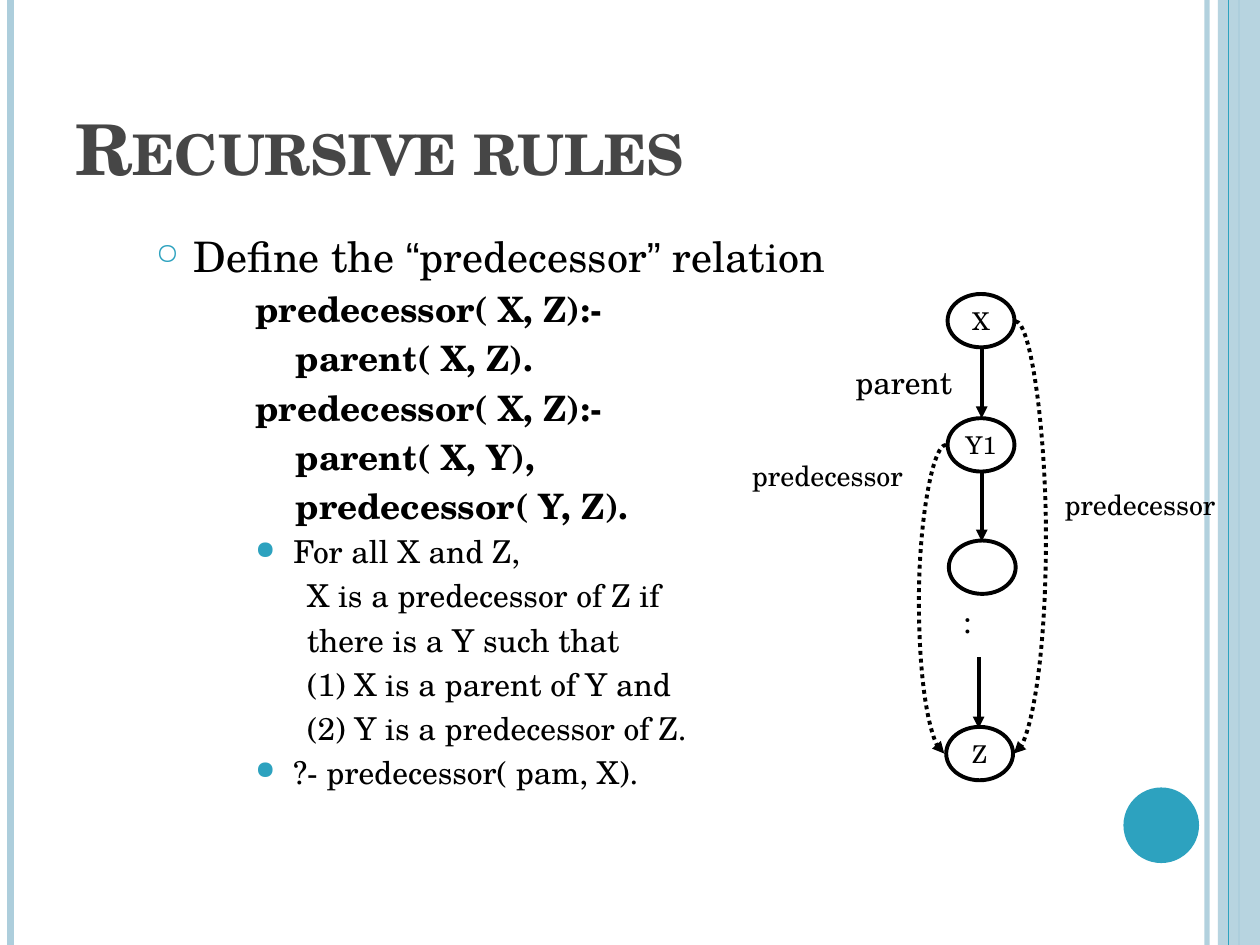
import pptx
import pptx.util
import pptx.dml.color
import pptx.enum.dml
import pptx.enum.shapes
import pptx.enum.text
import pptx.oxml.ns
import lxml.etree
import dataclasses

Pt = pptx.util.Pt
Kind = pptx.enum.shapes.MSO_CONNECTOR
Form = pptx.enum.shapes.MSO_SHAPE
Align = pptx.enum.text.PP_ALIGN
Anchor = pptx.enum.text.MSO_ANCHOR
qn = pptx.oxml.ns.qn


@dataclasses.dataclass(frozen=True)
class Theme:
    font: str = "TeX Gyre Schola"
    quote: str = "Arial"
    black: str = "000000"
    white: str = "FFFFFF"
    grey: str = "464646"
    pale: str = "ADCEDC"
    teal: str = "2DA2BF"
    title: int = 40
    lead: int = 24
    code: int = 20
    prose: int = 18
    label: int = 16
    node: int = 14
    stroke: float = 2.25


def color(text):
    return pptx.dml.color.RGBColor.from_string(text)


def child(parent, tag, **attrs):
    node = lxml.etree.SubElement(parent, qn(tag))
    for key, value in attrs.items():
        node.set(key, str(value))
    return node


class Sketch:
    """Draws styled elements on the current slide, in points."""

    def __init__(self, slide, theme):
        self.slide = slide
        self.theme = theme

    def fade(self, shape, alpha):
        tint = next(shape._element.iter(qn("a:srgbClr")))
        child(tint, "a:alpha", val=alpha * 1000)

    def run(self, para, text, size, bold=False, tone=None, face=None):
        run = para.add_run()
        run.text = text
        run.font.size = Pt(size)
        run.font.bold = bold
        run.font.name = face or self.theme.font
        run.font.color.rgb = color(tone or self.theme.black)
        return run

    def box(self, x, y, w, h, wrap=True, anchor=Anchor.TOP):
        frame = self.slide.shapes.add_textbox(Pt(x), Pt(y), Pt(w), Pt(h)).text_frame
        frame.word_wrap = wrap
        frame.vertical_anchor = anchor
        return frame

    def label(self, text, x, y, w, h, size, wrap=False, align=Align.LEFT):
        para = self.box(x, y, w, h, wrap).paragraphs[0]
        para.alignment = align
        self.run(para, text, size)

    def indent(self, para, left, hang, mark=None, scale=100):
        props = para._p.get_or_add_pPr()
        props.set("marL", str(Pt(left)))
        props.set("indent", str(Pt(-hang)))
        if mark:
            child(child(props, "a:buClr"), "a:srgbClr", val=self.theme.teal)
            child(props, "a:buSzPct", val=scale * 1000)
            child(props, "a:buChar", char=mark)
        else:
            child(props, "a:buNone")

    def line(self, start, end, tone=None, width=None, arrow=False, bend=None, alpha=None):
        kind = Kind.STRAIGHT if bend is None else Kind.CURVE
        link = self.slide.shapes.add_connector(kind, *map(Pt, start + end))
        link.line.color.rgb = color(tone or self.theme.black)
        link.line.width = Pt(width or self.theme.stroke)
        props = link._element.spPr
        if bend is not None:
            link.line.dash_style = pptx.enum.dml.MSO_LINE.ROUND_DOT
            ratio = (bend - start[0]) / (end[0] - start[0])
            guides = next(props.iter(qn("a:avLst")))
            child(guides, "a:gd", name="adj1", fmla=f"val {round(ratio * 100000)}")
        if arrow:
            child(props.find(qn("a:ln")), "a:tailEnd", type="triangle")
        child(props, "a:effectLst")
        if alpha:
            self.fade(link, alpha)

    def shape(self, form, x, y, w, h, fill, edge=None, alpha=None):
        shape = self.slide.shapes.add_shape(form, Pt(x), Pt(y), Pt(w), Pt(h))
        shape.shadow.inherit = False
        shape.fill.solid()
        shape.fill.fore_color.rgb = color(fill)
        if edge:
            shape.line.color.rgb = color(edge)
            shape.line.width = Pt(self.theme.stroke)
        else:
            shape.line.fill.background()
        if alpha:
            self.fade(shape, alpha)
        return shape

    def node(self, x, y, text=None):
        theme = self.theme
        shape = self.shape(Form.OVAL, x, y, 38.2, 30.5, theme.white, theme.black)
        if text:
            frame = shape.text_frame
            frame.word_wrap = False
            frame.vertical_anchor = Anchor.MIDDLE
            frame.paragraphs[0].alignment = Align.CENTER
            self.run(frame.paragraphs[0], text, theme.node)

    def frame(self):
        theme = self.theme
        self.line((689.8, 0), (689.8, 540), theme.pale, 3, alpha=93)
        self.line((6, 0), (6, 540), theme.pale, 4.5)
        self.line((708, 0), (708, 540), theme.pale, 1.5)
        self.shape(Form.RECTANGLE, 696, 0, 24, 540, theme.pale, alpha=87)
        self.line((702, 0), (702, 540), theme.teal, 0.75)
        self.shape(Form.OVAL, 642, 450, 43.2, 43.2, theme.teal)

    def title(self, text):
        para = self.box(36, 21.6, 588, 90, anchor=Anchor.BOTTOM).paragraphs[0]
        run = self.run(para, text, self.theme.title, True, self.theme.grey)
        run.font._element.set("cap", "small")

    def body(self, lead, rows):
        theme = self.theme
        frame = self.box(82, 128.2, 602, 396.7)
        para = frame.paragraphs[0]
        self.indent(para, 21.6, 21.6, "○", 70)
        for text in lead:
            face = theme.quote if text in "“”" else theme.font
            self.run(para, text, theme.lead, face=face)
        styles = {
            "code": (theme.code, True, 78.5, 21.6, None),
            "point": (theme.prose, False, 78.5, 21.6, "●"),
            "prose": (theme.prose, False, 86.4, 0, None),
        }
        for style, text in rows:
            size, bold, left, hang, mark = styles[style]
            para = frame.add_paragraph()
            self.indent(para, left, hang, mark, 80)
            para.space_before = Pt(size * 0.2)
            self.run(para, text, size, bold)

    def graph(self):
        theme = self.theme
        for x, top, end in ((561, 198.7, 239), (561, 268.6, 309.4), (559.2, 375.5, 416.2)):
            self.line((x, top), (x, end), arrow=True)
        for x, y, text in (
            (541.5, 168, "X"),
            (541.5, 239, "Y1"),
            (542.2, 308.9, None),
            (540.7, 415.4, "Z"),
        ):
            self.node(x, y, text)
        self.line((580.3, 183.6), (579.4, 430.6), arrow=True, bend=597.6)
        self.line((540.6, 254.2), (539.6, 430.6), arrow=True, bend=525)
        self.label("parent", 481.7, 203.8, 73.4, 28.8, theme.prose)
        self.label(":", 541.5, 340.6, 22.3, 28.8, theme.prose, align=Align.CENTER)
        self.label("predecessor", 422.6, 258.5, 111.6, 26.6, theme.label)
        self.label("predecessor", 601.2, 275, 118.8, 26.6, theme.label, wrap=True)


def main():
    deck = pptx.Presentation()
    deck.slide_width, deck.slide_height = Pt(720), Pt(540)
    sketch = Sketch(deck.slides.add_slide(deck.slide_layouts[6]), Theme())
    sketch.frame()
    sketch.title("Recursive rules")
    sketch.body(
        ("Define the ", "“", "predecessor", "”", " relation"),
        (
            ("code", "predecessor( X, Z):-"),
            ("code", "    parent( X, Z)."),
            ("code", "predecessor( X, Z):-"),
            ("code", "    parent( X, Y),"),
            ("code", "    predecessor( Y, Z)."),
            ("point", "For all X and Z,"),
            ("prose", "X is a predecessor of Z if"),
            ("prose", "there is a Y such that"),
            ("prose", "(1) X is a parent of Y and"),
            ("prose", "(2) Y is a predecessor of Z."),
            ("point", "?- predecessor( pam, X)."),
        ),
    )
    sketch.graph()
    deck.save("out.pptx")


if __name__ == "__main__":
    main()
